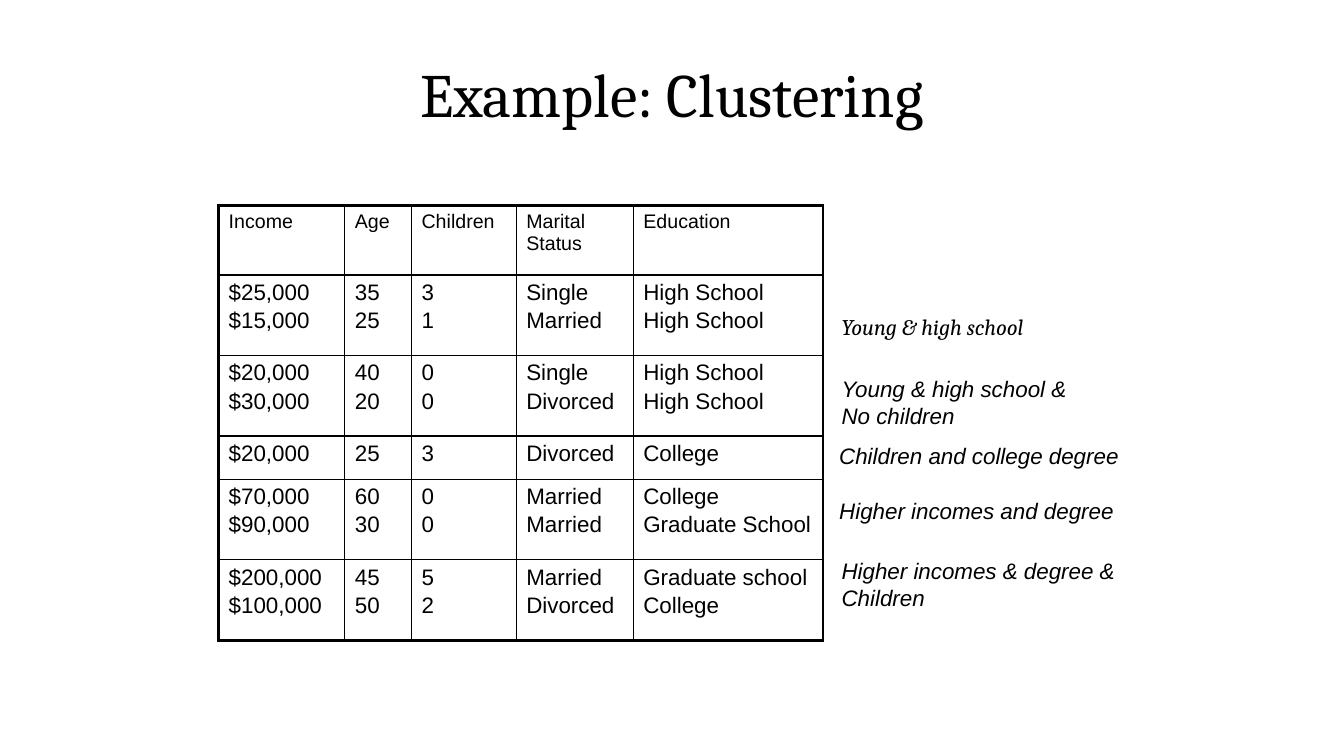
from pptx import Presentation
from pptx.dml.color import RGBColor
from pptx.enum.text import MSO_ANCHOR as Anchor, MSO_AUTO_SIZE as AutoSize, PP_ALIGN as Align
from pptx.oxml import parse_xml
from pptx.oxml.ns import nsdecls
from pptx.util import Cm, Pt

BLACK = RGBColor(0, 0, 0)
WHITE = RGBColor(255, 255, 255)
SERIF, SANS = "Cambria", "Arial"
THIN, THICK = Pt(1), Pt(2.25)

# Content
TITLE = "Example: Clustering"
HEADINGS = ["Income", "Age", "Children", "Marital Status", "Education"]
CLUSTERS = [
    [("$25,000", "35", "3", "Single", "High School"),
     ("$15,000", "25", "1", "Married", "High School")],
    [("$20,000", "40", "0", "Single", "High School"),
     ("$30,000", "20", "0", "Divorced", "High School")],
    [("$20,000", "25", "3", "Divorced", "College")],
    [("$70,000", "60", "0", "Married", "College"),
     ("$90,000", "30", "0", "Married", "Graduate School")],
    [("$200,000", "45", "5", "Married", "Graduate school"),
     ("$100,000", "50", "2", "Divorced", "College")],
]
# Cluster notes: lines, font, left, top, width (cm)
NOTES = [
    (["Young & high school"], SERIF, 20.96, 7.77, 5.69),
    (["Young & high school &", "No children"], SANS, 20.96, 9.32, 6.22),
    (["Children and college degree"], SANS, 20.9, 11.02, 7.57),
    (["Higher incomes and degree"], SANS, 20.9, 12.4, 7.44),
    (["Higher incomes & degree &", "Children"], SANS, 20.96, 13.92, 7.44),
]

# Layout in cm
COLUMN_WIDTHS = [3.18, 1.68, 2.64, 2.95, 4.78]
HEADING_HEIGHT = 1.75
CLUSTER_HEIGHTS = {1: 1.09, 2: 2.03}
NOTE_HEIGHTS = {1: 0.94, 2: 1.63}


def write(frame, lines, size, font, italic=False, align=Align.LEFT, before=0):
    for index, line in enumerate(lines):
        para = frame.paragraphs[0] if index == 0 else frame.add_paragraph()
        para.alignment = align
        para.space_before = Pt(before)
        span = para.add_run()
        span.text = line
        span.font.size = Pt(size)
        span.font.name = font
        span.font.italic = italic
        span.font.color.rgb = BLACK


def add_box(page, left, top, width, height):
    return page.shapes.add_textbox(Cm(left), Cm(top), Cm(width), Cm(height))


def set_borders(cell, widths):
    properties = cell._tc.get_or_add_tcPr()
    for index, (side, width) in enumerate(zip("LRTB", widths)):
        properties.insert(index, parse_xml(
            f'<a:ln{side} {nsdecls("a")} w="{width}"><a:solidFill>'
            f'<a:srgbClr val="{BLACK}"/></a:solidFill></a:ln{side}>'))


deck = Presentation()
deck.slide_width, deck.slide_height = Cm(33.87), Cm(19.05)
page = deck.slides.add_slide(deck.slide_layouts[6])

# Title
title = add_box(page, 1.7, 0.76, 30.48, 3.18).text_frame
title.word_wrap = True
title.vertical_anchor = Anchor.MIDDLE
write(title, [TITLE], 44, SERIF, align=Align.CENTER)

# Table: a heading row, then one row per cluster
row_heights = [HEADING_HEIGHT] + [CLUSTER_HEIGHTS[len(people)] for people in CLUSTERS]
rows = [[[heading] for heading in HEADINGS]] + [list(zip(*people)) for people in CLUSTERS]
table = page.shapes.add_table(
    len(rows), len(HEADINGS), Cm(5.51), Cm(5.18),
    Cm(sum(COLUMN_WIDTHS)), Cm(sum(row_heights))).table
table.first_row = table.horz_banding = False
for column, width in zip(table.columns, COLUMN_WIDTHS):
    column.width = Cm(width)
for row, height in zip(table.rows, row_heights):
    row.height = Cm(height)

last_row, last_column = len(rows) - 1, len(HEADINGS) - 1
for r, row in enumerate(rows):
    for c, lines in enumerate(row):
        cell = table.cell(r, c)
        cell.fill.solid()
        cell.fill.fore_color.rgb = WHITE
        outer = (c == 0, c == last_column, r == 0, r == last_row)
        set_borders(cell, [THICK if edge else THIN for edge in outer])
        write(cell.text_frame, lines, 14 if r == 0 else 16, SANS, before=2.5)

# Cluster notes beside the table
for lines, font, left, top, width in NOTES:
    note = add_box(page, left, top, width, NOTE_HEIGHTS[len(lines)]).text_frame
    note.word_wrap = False
    note.auto_size = AutoSize.SHAPE_TO_FIT_TEXT
    write(note, lines, 16, font, italic=True)

deck.save("out.pptx")
